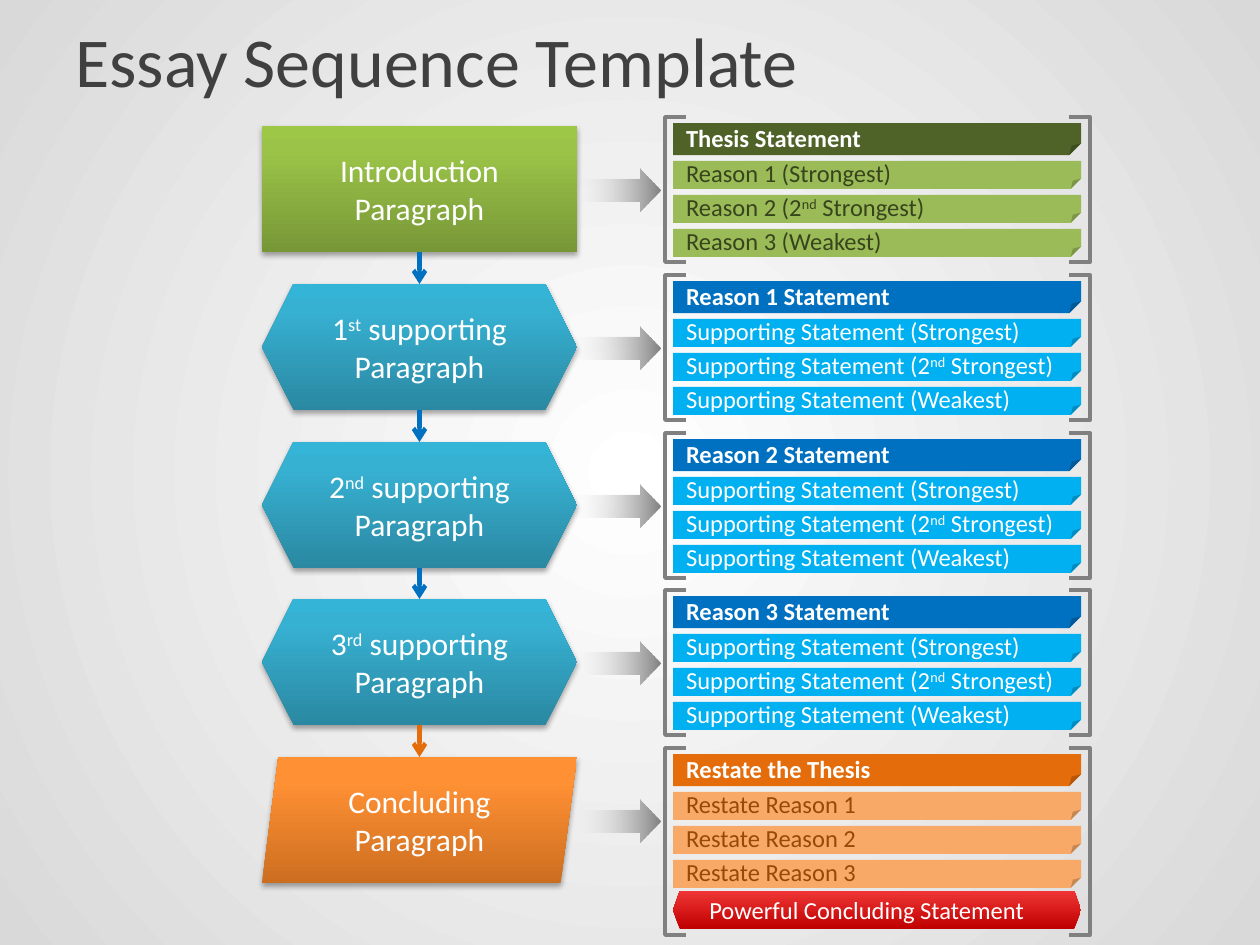
"""Build the essay sequence slide: five stages, each with its bracketed outline."""
from dataclasses import dataclass

import pptx
import pptx.dml.color
import pptx.enum.shapes
import pptx.enum.text
import pptx.oxml
import pptx.oxml.ns
import pptx.util
from lxml import etree

SCALE = 914400 / 126
SHAPES = pptx.enum.shapes.MSO_SHAPE
ALIGN = pptx.enum.text.PP_ALIGN
FONT = "Calibri"
WHITE, GREY, BLUE, ORANGE = "FFFFFF", "808080", "0070C0", "E46C0A"
STAGE_LEFT, STAGE_TOP, STAGE_WIDTH, STAGE_HEIGHT = 262, 126, 315, 126
ROW_PITCH = 157.75
BAR_LEFT, BAR_WIDTH = 673, 408
UPWARD = '<a:lin ang="16200000" scaled="0"/>'
RIGHTWARD = '<a:lin ang="0" scaled="0"/>'
RADIAL = '<a:path path="circle"><a:fillToRect l="50000" t="50000" r="50000" b="50000"/></a:path>'


@dataclass(frozen=True)
class Palette:
    gradient: tuple[str, str, str]
    header: str
    bar: str
    bar_text: str


@dataclass(frozen=True)
class Stage:
    text: str
    kind: SHAPES
    palette: Palette
    header: str
    bars: tuple[str, ...]
    link_color: str = BLUE
    bracket_height: int = 145


GREEN_SET = Palette(("779737", "9BC348", "9DC746"), "4F6228", "9BBB59", "37441C")
BLUE_SET = Palette(("2A88A2", "37B1D2", "34B4D6"), BLUE, "00B0F0", WHITE)
ORANGE_SET = Palette(("CC6E20", "FF9034", "FF9136"), ORANGE, "F8A968", "984807")


def supporting(number: int, suffix: str, link_color: str = BLUE) -> Stage:
    return Stage(
        f"{number}^{suffix}^ supporting Paragraph", SHAPES.HEXAGON, BLUE_SET,
        f"Reason {number} Statement",
        tuple(f"Supporting Statement ({rank})" for rank in ("Strongest", "2^nd^ Strongest", "Weakest")),
        link_color)


STAGES = (
    Stage("Introduction Paragraph", SHAPES.RECTANGLE, GREEN_SET, "Thesis Statement",
          ("Reason 1 (Strongest)", "Reason 2 (2^nd^ Strongest)", "Reason 3 (Weakest)")),
    supporting(1, "st"),
    supporting(2, "nd"),
    supporting(3, "rd", ORANGE),
    Stage("Concluding\nParagraph", SHAPES.PARALLELOGRAM, ORANGE_SET, "Restate the Thesis",
          tuple(f"Restate Reason {number}" for number in (1, 2, 3)), bracket_height=187),
)


def px(length: float) -> int:
    return round(length * SCALE)


def color(code: str) -> pptx.dml.color.RGBColor:
    return pptx.dml.color.RGBColor.from_string(code)


def xml(markup: str) -> etree._Element:
    head, mark, rest = markup.partition(" ")
    return pptx.oxml.parse_xml(f"{head} {pptx.oxml.ns.nsdecls('a')}{mark}{rest}")


def set_gradient(fill, owner, stops: list[tuple[int, str, int]], direction: str) -> None:
    fill.gradient()
    old = owner.find(".//" + pptx.oxml.ns.qn("a:gradFill"))
    marks = "".join(
        f'<a:gs pos="{place * 1000}"><a:srgbClr val="{code}"><a:alpha val="{alpha * 1000}"/></a:srgbClr></a:gs>'
        for place, code, alpha in stops)
    new = xml(f'<a:gradFill rotWithShape="1"><a:gsLst>{marks}</a:gsLst>{direction}</a:gradFill>')
    old.getparent().replace(old, new)


def add_box(slide, kind, left: int, top: int, width: int, height: int):
    box = slide.shapes.add_shape(kind, px(left), px(top), px(width), px(height))
    box.shadow.inherit = False
    box.line.fill.background()
    return box


def write(box, text: str, size: int, code: str, align=ALIGN.LEFT, bold: bool = False) -> None:
    frame = box.text_frame
    frame.word_wrap = True
    frame.vertical_anchor = pptx.enum.text.MSO_ANCHOR.MIDDLE
    for number, line in enumerate(text.split("\n")):
        para = frame.add_paragraph() if number else frame.paragraphs[0]
        para.alignment = align
        for index, part in enumerate(line.split("^")):
            span = para.add_run()
            span.text = part
            span.font.name = FONT
            span.font.size = pptx.util.Pt(size)
            span.font.bold = bold
            span.font.color.rgb = color(code)
            if index % 2:
                span.font._element.set("baseline", "30000")


def set_insets(box, side: int, top: int) -> None:
    frame = box.text_frame
    frame.margin_left = frame.margin_right = px(side)
    frame.margin_top = px(top)
    frame.margin_bottom = 0


def add_arrow(slide, top: int) -> None:
    arrow = add_box(slide, SHAPES.RIGHT_ARROW, 567, top + 43, 93, 42)
    arrow.adjustments[0] = 0.52
    set_gradient(arrow.fill, arrow._element, [(0, WHITE, 0), (100, GREY, 100)], RIGHTWARD)


def add_stage(slide, stage: Stage, top: int):
    box = add_box(slide, stage.kind, STAGE_LEFT, top, STAGE_WIDTH, STAGE_HEIGHT)
    if stage.kind == SHAPES.PARALLELOGRAM:
        box.adjustments[0] = 0.13
    stops = [(place, code, 100) for place, code in zip((0, 80, 100), stage.palette.gradient)]
    set_gradient(box.fill, box._element, stops, UPWARD)
    box._element.spPr.find(pptx.oxml.ns.qn("a:effectLst")).append(xml(
        '<a:outerShdw blurRad="40000" dist="23000" dir="5400000" rotWithShape="0">'
        '<a:srgbClr val="000000"><a:alpha val="35000"/></a:srgbClr></a:outerShdw>'))
    write(box, stage.text, 18, WHITE, ALIGN.CENTER)
    return box


def add_link(slide, upper, lower, stage: Stage) -> None:
    middle = upper.left + upper.width // 2
    link = slide.shapes.add_connector(
        pptx.enum.shapes.MSO_CONNECTOR.STRAIGHT, middle, upper.top + upper.height, middle, lower.top)
    if stage.kind == SHAPES.RECTANGLE:
        link.begin_connect(upper, 2)
    link.line.color.rgb = color(stage.link_color)
    link.line.width = pptx.util.Pt(2.5)
    link.line._get_or_add_ln().append(xml('<a:tailEnd type="arrow"/>'))
    link._element.spPr.append(xml("<a:effectLst />"))


def add_bar(slide, text: str, top: int, height: int, inset: int, fill: str, ink: str, bold: bool) -> None:
    bar = add_box(slide, SHAPES.FOLDED_CORNER, BAR_LEFT, top, BAR_WIDTH, height)
    guides = bar._element.find(".//" + pptx.oxml.ns.qn("a:avLst"))
    guides[:] = [xml('<a:gd name="adj" fmla="val 36600"/>')]
    bar.fill.solid()
    bar.fill.fore_color.rgb = color(fill)
    set_insets(bar, 13, inset)
    write(bar, text, 14, ink, bold=bold)


def add_bracket(slide, inner: int, outer: int, top: int, height: int) -> None:
    bottom = top + height
    builder = slide.shapes.build_freeform(px(inner), px(bottom))
    corners = ((outer, bottom), (outer, top), (inner, top))
    builder.add_line_segments([(px(x), px(y)) for x, y in corners], close=False)
    bracket = builder.convert_to_shape()
    bracket.shadow.inherit = False
    bracket.fill.background()
    bracket.line.color.rgb = color(GREY)
    bracket.line.width = pptx.util.Pt(2)


def add_outline(slide, stage: Stage, top: int) -> None:
    palette = stage.palette
    add_bar(slide, stage.header, top - 3, 32, 10, palette.header, WHITE, True)
    for number, text in enumerate(stage.bars):
        add_bar(slide, text, top + 35 + 34 * number, 28, 6, palette.bar, palette.bar_text, False)
    for inner, outer in ((686, 665), (1069, 1090)):
        add_bracket(slide, inner, outer, top - 9, stage.bracket_height)


def main() -> None:
    deck = pptx.Presentation()
    deck.slide_width, deck.slide_height = px(1260), px(945)
    slide = deck.slides.add_slide(deck.slide_layouts[6])
    set_gradient(slide.background.fill, slide._element, [(0, WHITE, 100), (100, "D9D9D9", 100)], RADIAL)

    tops = [STAGE_TOP + round(ROW_PITCH * row) for row in range(len(STAGES))]
    for top in tops:
        add_arrow(slide, top)
    boxes = [add_stage(slide, stage, top) for stage, top in zip(STAGES, tops)]
    for upper, lower, stage in zip(boxes, boxes[1:], STAGES):
        add_link(slide, upper, lower, stage)
    for stage, top in zip(STAGES, tops):
        add_outline(slide, stage, top)

    closing = add_box(slide, SHAPES.HEXAGON, BAR_LEFT, 891, BAR_WIDTH, 38)
    closing.adjustments[0] = 0.18
    set_gradient(closing.fill, closing._element, [(0, "C00000", 100), (100, "EF3535", 100)], UPWARD)
    set_insets(closing, 0, 0)
    write(closing, "Powerful Concluding Statement", 14, WHITE)

    title = slide.shapes.add_textbox(px(63), px(10), px(1134), px(98))
    write(title, "Essay Sequence Template", 40, "404040")
    deck.save("out.pptx")


if __name__ == "__main__":
    main()
